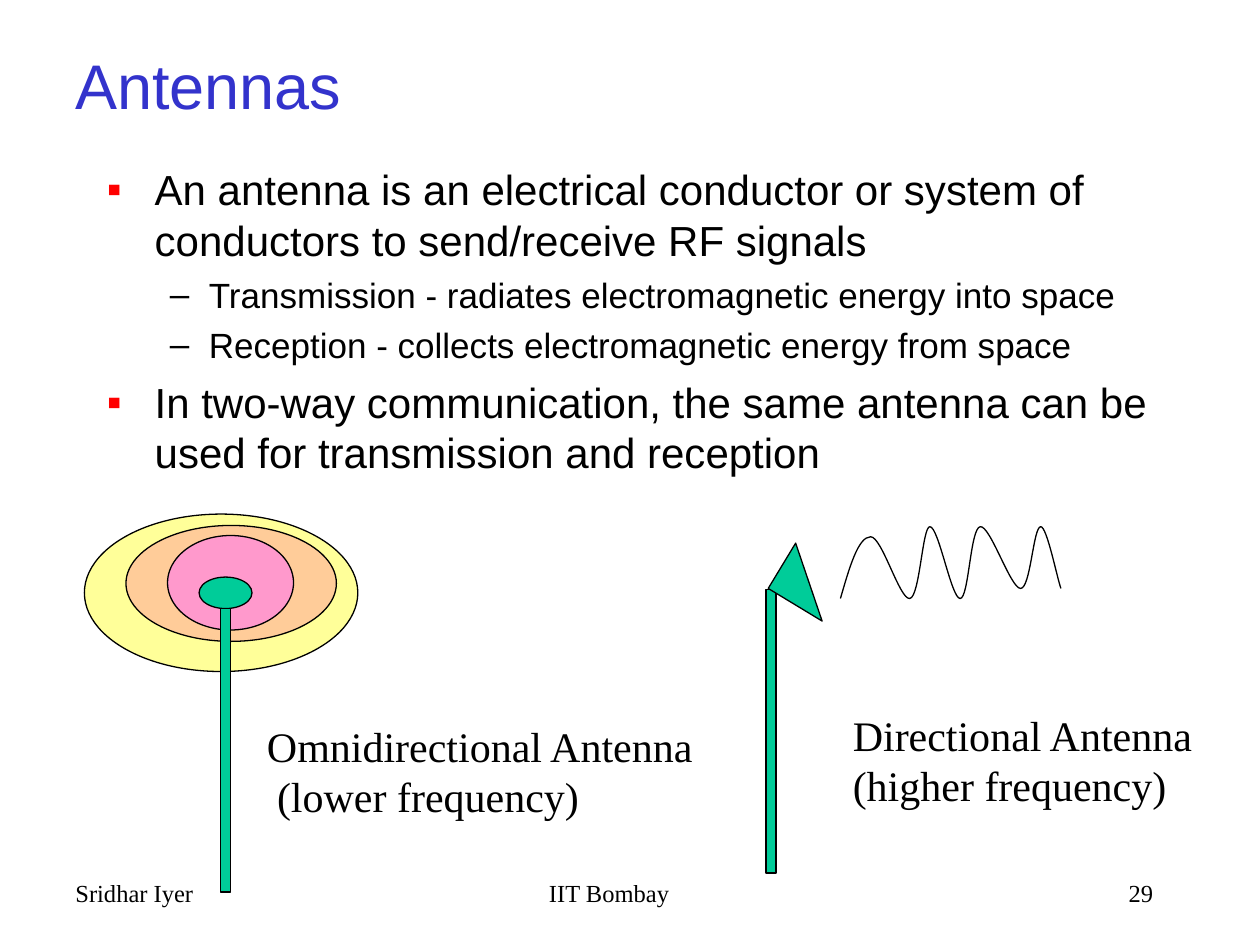
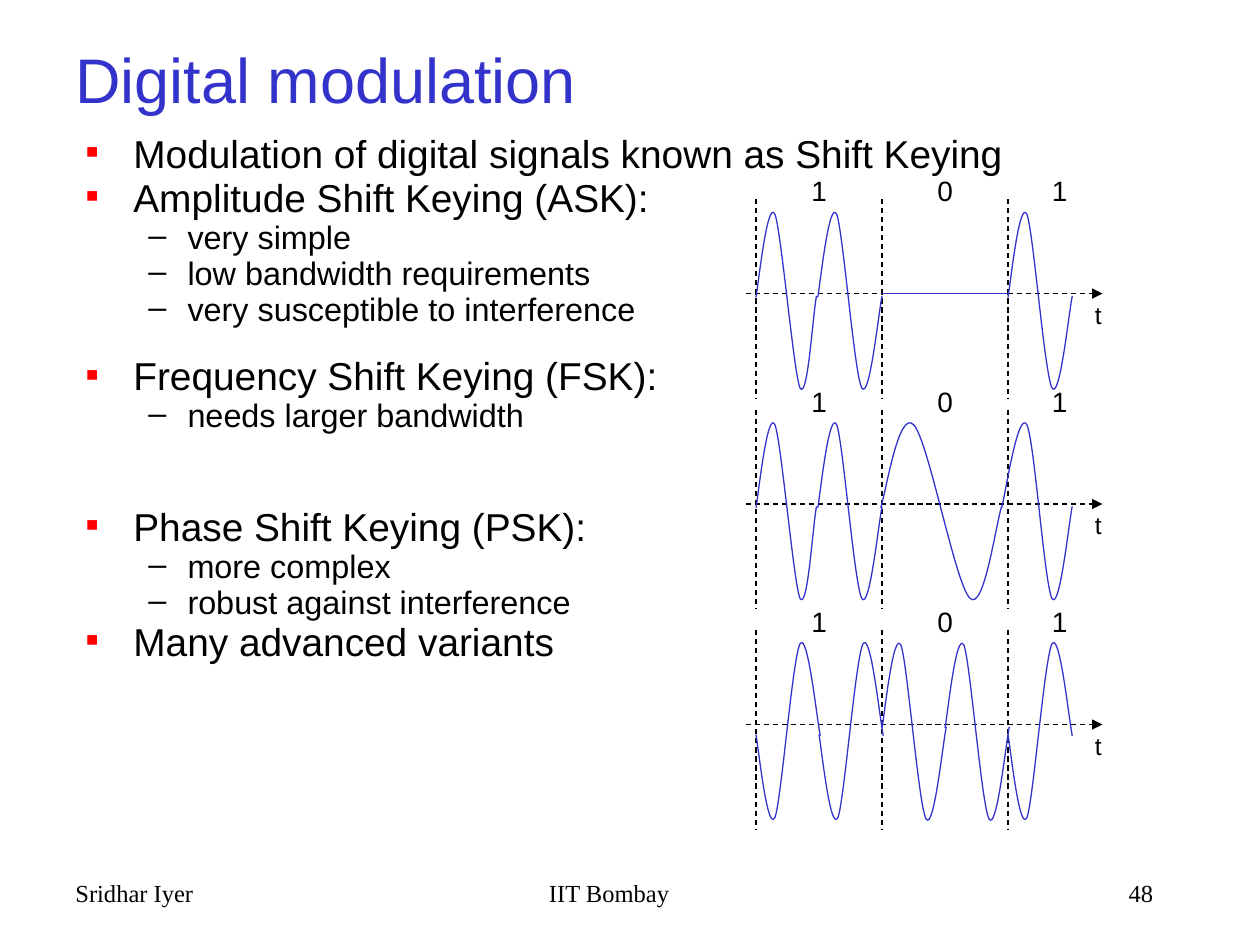
from lxml import etree
from pptx import Presentation
from pptx.dml.color import RGBColor
from pptx.enum.dml import MSO_LINE
from pptx.enum.shapes import MSO_CONNECTOR, MSO_SHAPE
from pptx.enum.text import MSO_ANCHOR, PP_ALIGN
from pptx.oxml.ns import qn
from pptx.util import Inches, Pt

DASH = MSO_LINE.DASH
STRAIGHT = MSO_CONNECTOR.STRAIGHT
ELLIPSE = MSO_SHAPE.OVAL
RECTANGLE = MSO_SHAPE.RECTANGLE
RIGHT_TRIANGLE = MSO_SHAPE.RIGHT_TRIANGLE
TOP = MSO_ANCHOR.TOP
MIDDLE = MSO_ANCHOR.MIDDLE
LEFT = PP_ALIGN.LEFT
CENTER = PP_ALIGN.CENTER
RIGHT = PP_ALIGN.RIGHT

SANS = "Arial"
SERIF = "Times New Roman"
COLORS = {
    "text": "000000",
    "title": "3333CC",
    "bullet": "FF0000",
    "signal": "3333CC",
    "antenna": "00CC99",
    "outer": "FFFF99",
    "middle": "FFCC99",
    "inner": "FF99CC",
}
LINE_WIDTH = Pt(0.75)
BULLETS = [
    {"character": "▪", "color": "bullet", "left": 0.38, "hanging": 0.38, "space": 6},
    {"character": "–", "color": "text", "left": 0.81, "hanging": 0.31, "space": 5},
]

WAVE_X = {
    "cycle": [0, 0.02, 0.09, 0.15, 0.20, 0.29, 0.35, 0.41, 0.48, 0.51],
    "short": [0, 0.02, 0.09, 0.15, 0.20, 0.30, 0.35, 0.41, 0.45, 0.48],
    "late": [0, 0.03, 0.13, 0.20, 0.26, 0.34, 0.40, 0.46, 0.53, 0.56],
    "long": [0, 0.04, 0.14, 0.26, 0.38, 0.59, 0.71, 0.82, 0.91, 0.96],
}
WAVE_Y = [0.03, -0.08, -0.75, -0.63, -0.51, 0.64, 0.75, 0.85, 0.18, 0.02]
INVERTED_Y = [0.11 - y for y in WAVE_Y]
BEAM = [
    (6.67, 4.75), (6.74, 4.51), (6.81, 4.26), (6.91, 4.26),
    (7, 4.26), (7.14, 4.76), (7.22, 4.75),
    (7.3, 4.74), (7.32, 4.18), (7.38, 4.18),
    (7.45, 4.18), (7.55, 4.75), (7.62, 4.75),
    (7.69, 4.75), (7.7, 4.19), (7.78, 4.18),
    (7.86, 4.17), (8.02, 4.67), (8.1, 4.67),
    (8.18, 4.67), (8.2, 4.18), (8.26, 4.18),
    (8.31, 4.18), (8.39, 4.59), (8.42, 4.67),
]


def rgb(color):
    return RGBColor.from_string(COLORS[color])


def format_paragraph(paragraph, size, font, color="text"):
    for run in paragraph.runs:
        run.font.size = Pt(size)
        run.font.name = font
        run.font.color.rgb = rgb(color)


def indent(paragraph, left, hanging=0):
    properties = paragraph._p.get_or_add_pPr()
    properties.set("marL", str(Inches(left)))
    properties.set("indent", str(-Inches(hanging)))
    return properties


def add_text(slide, box, text, size, font, color="text", align=LEFT, anchor=TOP, wrap=True):
    shape = slide.shapes.add_textbox(*map(Inches, box))
    frame = shape.text_frame
    frame.text = text
    frame.word_wrap = wrap
    frame.vertical_anchor = anchor
    for paragraph in frame.paragraphs:
        paragraph.alignment = align
        format_paragraph(paragraph, size, font, color)
    return frame


def add_bullet(paragraph, bullet):
    properties = indent(paragraph, bullet["left"], bullet["hanging"])
    color = etree.SubElement(properties, qn("a:buClr"))
    etree.SubElement(color, qn("a:srgbClr"), val=COLORS[bullet["color"]])
    etree.SubElement(properties, qn("a:buFont"), typeface=SANS)
    etree.SubElement(properties, qn("a:buChar"), char=bullet["character"])


def add_body(slide, box, items, sizes, line_spacing=1.0):
    frame = slide.shapes.add_textbox(*map(Inches, box)).text_frame
    frame.word_wrap = True
    for index, (level, text, extra_space) in enumerate(items):
        paragraph = frame.add_paragraph() if index else frame.paragraphs[0]
        paragraph.text = text
        paragraph.level = level
        bullet = BULLETS[level]
        add_bullet(paragraph, bullet)
        paragraph.line_spacing = line_spacing
        paragraph.space_before = Pt(bullet["space"] + extra_space if index else 0)
        format_paragraph(paragraph, sizes[level], SANS)


def add_filled_shape(slide, kind, box, fill, rotation=0):
    shape = slide.shapes.add_shape(kind, *map(Inches, box))
    shape.shadow.inherit = False
    shape.rotation = rotation
    shape.fill.solid()
    shape.fill.fore_color.rgb = rgb(fill)
    shape.line.color.rgb = rgb("text")
    shape.line.width = LINE_WIDTH


def add_line(slide, start, end, color="text", dashed=False, arrow=False):
    connector = slide.shapes.add_connector(STRAIGHT, *map(Inches, (*start, *end)))
    connector.line.color.rgb = rgb(color)
    connector.line.width = LINE_WIDTH
    if dashed:
        connector.line.dash_style = DASH
    if arrow:
        etree.SubElement(connector.line._get_or_add_ln(), qn("a:tailEnd"), type="triangle")
    etree.SubElement(connector._element.spPr, qn("a:effectLst"))


def join_as_beziers(shape):
    outline = next(shape._element.iter(qn("a:path")))
    segments = outline.findall(qn("a:lnTo"))
    for first in range(0, len(segments), 3):
        curve = etree.SubElement(outline, qn("a:cubicBezTo"))
        for segment in segments[first:first + 3]:
            curve.append(segment[0])
            outline.remove(segment)


def add_curve(slide, points, color):
    start, *controls = [tuple(map(Inches, point)) for point in points]
    builder = slide.shapes.build_freeform(*start)
    builder.add_line_segments(controls, close=False)
    shape = builder.convert_to_shape()
    join_as_beziers(shape)
    shape.shadow.inherit = False
    shape.fill.background()
    shape.line.color.rgb = rgb(color)
    shape.line.width = LINE_WIDTH


def add_wave(slide, left, axis, kind="cycle", heights=WAVE_Y):
    points = [(left + x, axis + y) for x, y in zip(WAVE_X[kind], heights)]
    add_curve(slide, points, "signal")


def add_time_axis(slide, axis):
    add_line(slide, (5.92, axis), (8.75, axis), dashed=True, arrow=True)
    for x in (6, 7, 8):
        add_line(slide, (x, axis - 0.75), (x, axis + 0.83), dashed=True)
    for left, bit in ((6.34, "1"), (7.34, "0"), (8.25, "1")):
        add_text(slide, (left, axis - 1, 0.32, 0.37), bit, 16, SANS, wrap=False)
    add_text(slide, (8.59, axis, 0.25, 0.34), "t", 14, SANS, wrap=False)


def add_slide(presentation, title, title_box, number):
    slide = presentation.slides.add_slide(presentation.slide_layouts[6])
    for left, width, text, align in (
        (0.5, 2.08, "Sridhar Iyer", LEFT),
        (3.25, 3.17, "IIT Bombay", CENTER),
        (7.17, 2.08, number, RIGHT),
    ):
        add_text(slide, (left, 6.92, width, 0.5), text, 14, SERIF, align=align)
    add_text(slide, title_box, title, 36, SANS, "title", anchor=MIDDLE)
    return slide


def build_antennas(presentation):
    slide = add_slide(presentation, "Antennas", (0.5, 0.17, 8.33, 1), "29")
    items = [
        (0, "An antenna is an electrical conductor or system of conductors to send/receive RF signals", 0),
        (1, "Transmission - radiates electromagnetic energy into space", 0),
        (1, "Reception - collects electromagnetic energy from space", 0),
        (0, "In two-way communication, the same antenna can be used for transmission and reception", 0),
    ]
    add_body(slide, (0.75, 1.25, 8.5, 3.33), items, (24, 20))

    omnidirectional = add_text(
        slide, (2.02, 5.67, 3.59, 0.9),
        "Omnidirectional Antenna\n(lower frequency)", 24, SERIF, wrap=False,
    )
    indent(omnidirectional.paragraphs[1], 0.08)
    for kind, box, fill in (
        (ELLIPSE, (0.67, 4.08, 2.17, 1.25), "outer"),
        (ELLIPSE, (1, 4.17, 1.67, 0.92), "middle"),
        (ELLIPSE, (1.33, 4.25, 1, 0.75), "inner"),
        (ELLIPSE, (1.58, 4.58, 0.42, 0.25), "antenna"),
        (RECTANGLE, (1.75, 4.83, 0.08, 2.25), "antenna"),
        (RECTANGLE, (6.08, 4.68, 0.08, 2.25), "antenna"),
    ):
        add_filled_shape(slide, kind, box, fill)
    add_filled_shape(slide, RIGHT_TRIANGLE, (6.17, 4.41, 0.5, 0.42), "antenna", 31.2)
    add_curve(slide, BEAM, "text")
    add_text(slide, (6.67, 5.58, 3.13, 0.9), "Directional Antenna (higher frequency)", 24, SERIF)


def build_digital_modulation(presentation):
    slide = add_slide(presentation, "Digital modulation", (0.5, 0, 8.5, 1.25), "48")
    items = [
        (0, "Modulation of digital signals known as Shift Keying", 0),
        (0, "Amplitude Shift Keying (ASK):", 0.5),
        (1, "very simple", 0),
        (1, "low bandwidth requirements", 0),
        (1, "very susceptible to interference", 0),
        (0, "Frequency Shift Keying (FSK):", 15.5),
        (1, "needs larger bandwidth", 0),
        (0, "Phase Shift Keying (PSK):", 41),
        (1, "more complex", 0),
        (1, "robust against interference", 0),
        (0, "Many advanced variants", 0),
    ]
    add_body(slide, (0.58, 1.08, 8.92, 4.5), items, (22.2, 18.5), 0.7)

    amplitude_axis, frequency_axis, phase_axis = 2.33, 4, 5.75
    for axis in (amplitude_axis, frequency_axis, phase_axis):
        add_time_axis(slide, axis)
    for axis in (amplitude_axis, frequency_axis):
        add_wave(slide, 6, axis, "short")
        add_wave(slide, 6.49, axis)
    add_line(slide, (7, amplitude_axis), (8, amplitude_axis), "signal")
    add_wave(slide, 8, amplitude_axis)
    add_wave(slide, 6.99, frequency_axis, "long")
    add_wave(slide, 7.95, frequency_axis, "late")
    for left in (7, 7.5):
        add_wave(slide, left, phase_axis)
    for left in (6, 6.5, 8):
        add_wave(slide, left, phase_axis, heights=INVERTED_Y)


def main():
    presentation = Presentation()
    presentation.slide_width = Inches(10)
    presentation.slide_height = Inches(7.5)
    build_antennas(presentation)
    build_digital_modulation(presentation)
    presentation.save("out.pptx")


if __name__ == "__main__":
    main()
